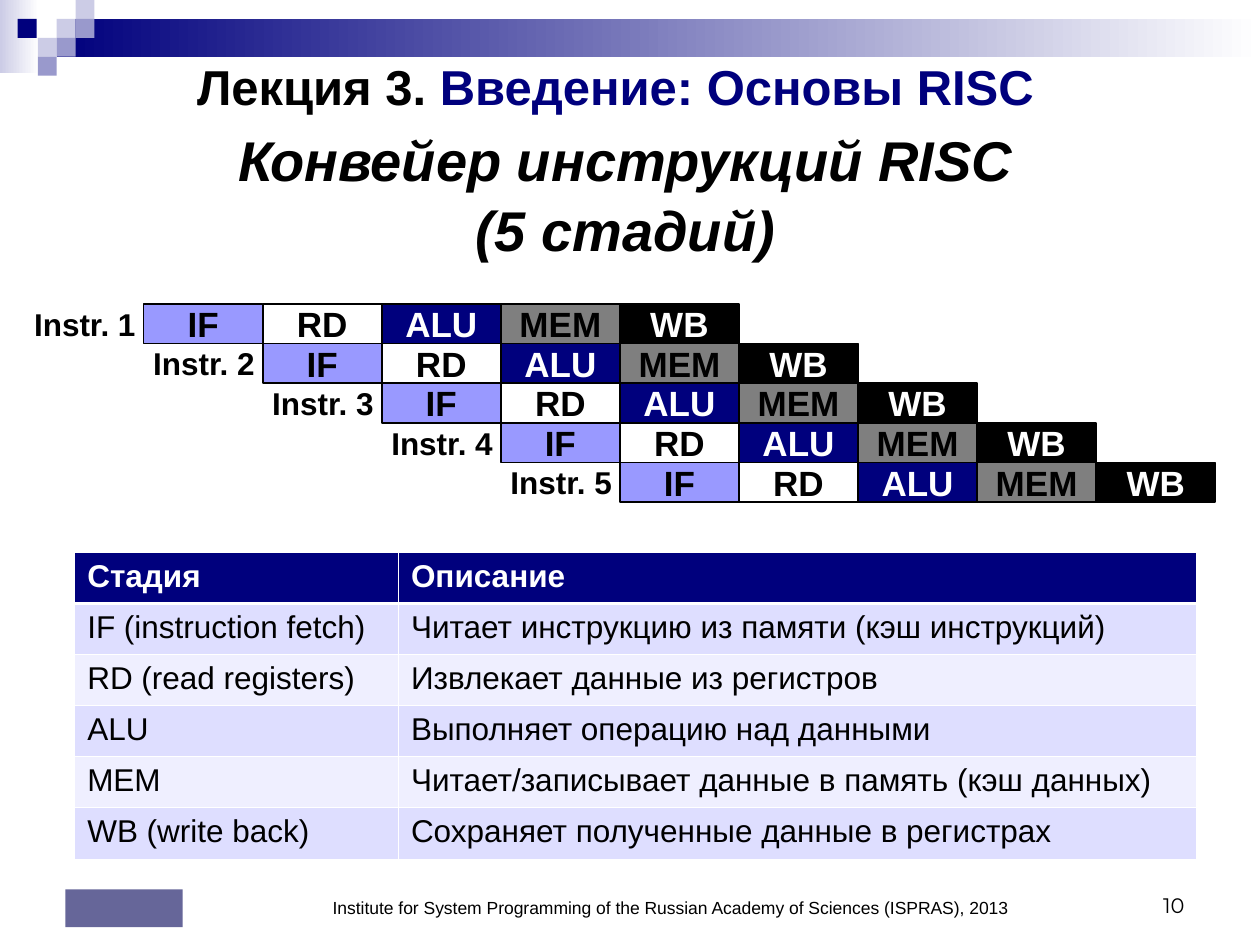
from pptx import Presentation
from pptx.dml.color import RGBColor
from pptx.enum.shapes import MSO_SHAPE
from pptx.enum.text import MSO_ANCHOR, MSO_AUTO_SIZE, PP_ALIGN
from pptx.oxml import parse_xml
from pptx.oxml.ns import nsdecls
from pptx.util import Pt

# Content
TITLE = [("Лекция 3. ", "black"), ("Введение: Основы RISC", "navy")]
SUBTITLE = ["Конвейер инструкций RISC", "(5 стадий)"]
STAGES = [  # name, fill, text colour
    ("IF", "periwinkle", "black"),
    ("RD", None, "black"),
    ("ALU", "navy", "white"),
    ("MEM", "grey", "black"),
    ("WB", "black", "white"),
]
INSTRUCTIONS = [f"Instr. {n}" for n in range(1, 6)]
TABLE = [
    ("Стадия", "Описание"),
    ("IF (instruction fetch)", "Читает инструкцию из памяти (кэш инструкций)"),
    ("RD (read registers)", "Извлекает данные из регистров"),
    ("ALU", "Выполняет операцию над данными"),
    ("MEM", "Читает/записывает данные в память (кэш данных)"),
    ("WB (write back)", "Сохраняет полученные данные в регистрах"),
]
FOOTER = "Institute for System Programming of the Russian Academy of Sciences (ISPRAS), 2013"
PAGE = "10"

THEME = {
    "font": "Arial",
    "page_font": "Montserrat",
    "sizes": {"title": 28, "subtitle": 32, "stage": 20, "text": 18, "page": 12, "footer": 10},
    "colors": {
        "black": "000000", "white": "FFFFFF", "navy": "00007D", "grey": "7F7F7F",
        "periwinkle": "9999FF", "pale": "CCCCE6", "mid": "9999CC", "logo": "666699",
        "band1": "DEDEFF", "band2": "EFEFFF",
    },
}

# Corner decoration: left, top, width, height, colour, fades to white
SQ = 10.8
DECOR = [
    (0, 0, 22.3, 41.8, "pale", True),
    (32.4, SQ, 687.6, 21.6, "navy", True),
    (32.4, SQ, SQ, SQ, "pale", False),
    (43.2, 0, SQ, SQ, "pale", False),
    (43.2, SQ, SQ, SQ, "mid", False),
    (21.6, 21.6, SQ, SQ, "pale", False),
    (10.1, SQ, SQ, SQ, "navy", False),
    (32.4, 21.6, SQ, SQ, "mid", False),
    (21.6, 32.4, SQ, SQ, "mid", False),
]


def color(name):
    return RGBColor.from_string(THEME["colors"][name])


def style(r, size, name="black", bold=False, italic=False, font=THEME["font"]):
    r.font.name, r.font.size = font, Pt(THEME["sizes"][size])
    r.font.bold, r.font.italic = bold, italic
    r.font.color.rgb = color(name)


def place(sp, *box):
    sp.left, sp.top, sp.width, sp.height = map(Pt, box)


def set_margins(tf, x, y):
    tf.margin_left = tf.margin_right = Pt(x)
    tf.margin_top = tf.margin_bottom = Pt(y)


def add_rect(s, box, fill=None, fade=False, line=None):
    sp = s.shapes.add_shape(MSO_SHAPE.RECTANGLE, *map(Pt, box))
    sp.shadow.inherit = False
    if fade:
        sp.fill.gradient()
        sp.fill.gradient_angle = 0
        for stop, name, pos in zip(sp.fill.gradient_stops, (fill, "white"), (0, 1)):
            stop.color.rgb, stop.position = color(name), pos
    elif fill:
        sp.fill.solid()
        sp.fill.fore_color.rgb = color(fill)
    else:
        sp.fill.background()
    if line:
        sp.line.color.rgb, sp.line.width = color(line), Pt(1)
    else:
        sp.line.fill.background()
    return sp


def add_text(s, box, text, size, align=PP_ALIGN.LEFT, anchor=MSO_ANCHOR.TOP,
             margins=(7.2, 3.6), **look):
    tf = s.shapes.add_textbox(*map(Pt, box)).text_frame
    tf.word_wrap, tf.vertical_anchor = True, anchor
    set_margins(tf, *margins)
    p = tf.paragraphs[0]
    p.text, p.alignment = text, align
    style(p.runs[0], size, **look)
    return p


def set_borders(cell, top, bottom):
    widths = {"lnL": 0.45, "lnR": 0.45, "lnT": top, "lnB": bottom}
    tc_pr = cell._tc.get_or_add_tcPr()
    for i, (tag, width) in enumerate(widths.items()):
        tc_pr.insert(i, parse_xml(
            f'<a:{tag} {nsdecls("a")} w="{Pt(width)}"><a:solidFill>'
            f'<a:srgbClr val="{THEME["colors"]["white"]}"/></a:solidFill></a:{tag}>'))


def add_headings(s):
    title, body = s.placeholders
    place(title, 19.4, 9.4, 664.6, 79.2)
    tf = title.text_frame
    tf.vertical_anchor, tf.auto_size = MSO_ANCHOR.MIDDLE, MSO_AUTO_SIZE.NONE
    p = tf.paragraphs[0]
    p.alignment = PP_ALIGN.CENTER
    for text, name in TITLE:
        r = p.add_run()
        r.text = text
        style(r, "title", name, bold=True)

    place(body, 31, 65.5, 653, 85)
    tf = body.text_frame
    tf.auto_size, tf.margin_top = MSO_AUTO_SIZE.NONE, Pt(6)
    tf.text = "\n".join(SUBTITLE)
    for i, p in enumerate(tf.paragraphs):
        p_pr = p._p.get_or_add_pPr()
        p_pr.set("marL", "0")
        p_pr.set("indent", "0")
        p_pr.append(parse_xml(f'<a:buNone {nsdecls("a")}/>'))
        p.alignment, p.space_before = PP_ALIGN.CENTER, Pt(2 * i)
        style(p.runs[0], "subtitle", bold=True, italic=True)


def add_pipeline(s, left=82.1, top=173.6, w=68.04, h=22.68, label_w=62.6):
    for row, label in enumerate(INSTRUCTIONS):
        x, y = left + row * w, top + row * h
        for col, (name, fill, ink) in enumerate(STAGES):
            sp = add_rect(s, (x + col * w, y, w, h), fill, line="black")
            tf = sp.text_frame
            tf.text, tf.word_wrap, tf.vertical_anchor = name, False, MSO_ANCHOR.MIDDLE
            set_margins(tf, 0, 0)
            p = tf.paragraphs[0]
            p.alignment = PP_ALIGN.CENTER
            style(p.runs[0], "stage", ink, bold=True)
        add_text(s, (x - label_w, y + 0.5, label_w, 21.6), label, "text",
                 margins=(0, 0), bold=True)


def add_stage_table(s, widths=(185, 455.8), row_h=29.2):
    box = (42.7, 315.6, sum(widths), row_h * len(TABLE))
    table = s.shapes.add_table(len(TABLE), len(widths), *map(Pt, box)).table
    table.horz_banding = False
    for column, width in zip(table.columns, widths):
        column.width = Pt(width)
    for i, row in enumerate(TABLE):
        head = i == 0
        fill = "navy" if head else "band1" if i % 2 else "band2"
        for j, text in enumerate(row):
            cell = table.cell(i, j)
            cell.text = text
            cell.fill.solid()
            cell.fill.fore_color.rgb = color(fill)
            set_margins(cell, 7.2, 3.6)
            set_borders(cell, 1.47 if i == 1 else 0.45, 1.47 if head else 0.45)
            style(cell.text_frame.paragraphs[0].runs[0], "text",
                  "white" if head else "black", bold=head)


def main():
    prs = Presentation()
    prs.slide_width, prs.slide_height = Pt(720), Pt(540)
    s = prs.slides.add_slide(prs.slide_layouts[1])

    # Decoration and logo block
    for *box, name, fade in DECOR:
        add_rect(s, box, name, fade)
    add_rect(s, (37.4, 508.3, 67, 21.6), "logo")

    # Footer
    p = add_text(s, (150.5, 491.8, 465, 36), FOOTER, "footer",
                 PP_ALIGN.CENTER, MSO_ANCHOR.BOTTOM)
    p.line_spacing = 0.8
    add_text(s, (598.3, 491.8, 85.7, 36), PAGE, "page",
             PP_ALIGN.RIGHT, MSO_ANCHOR.BOTTOM, font=THEME["page_font"])

    # Main content
    add_headings(s)
    add_stage_table(s)
    add_pipeline(s)
    prs.save("out.pptx")


if __name__ == "__main__":
    main()
